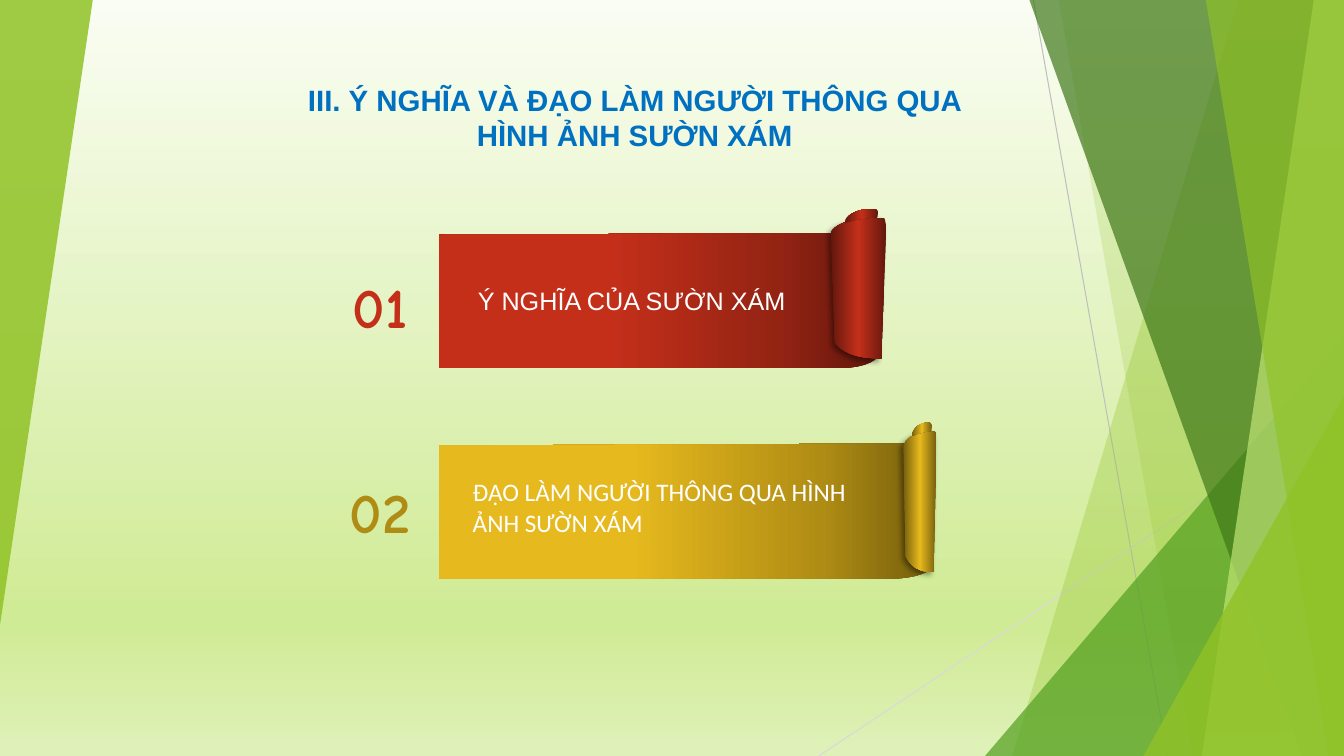
import dataclasses
import typing

import lxml.etree
import pptx
import pptx.dml.color
import pptx.dml.fill
import pptx.enum.shapes
import pptx.enum.text
import pptx.oxml.ns
import pptx.shapes.autoshape
import pptx.shapes.base
import pptx.slide
import pptx.util

EMU_PER_PX = 9144
SLIDE_WIDTH, SLIDE_HEIGHT = 1333, 750

Point = tuple[float, float]
Segment = tuple[Point, ...]
Stops = tuple[tuple[int, str], ...]


@dataclasses.dataclass(frozen=True)
class Theme:
    background: Stops = ((0, "FAFDF3"), (81, "D0EB96"), (83, "D0EB96"), (100, "DFF1B9"))
    lime: str = "90C226"
    pale_lime: str = "C0E474"
    green: str = "54A021"
    dark_green: str = "3F7819"
    vertical_ray: str = "BFBFBF"
    slanted_ray: str = "D9D9D9"
    reds: tuple[str, str, str] = ("62170D", "932313", "C42F1A")
    golds: tuple[str, str, str] = ("755E0D", "AF8C14", "E6B91E")
    title: str = "0070C0"
    label: str = "FFFFFF"
    shadow: str = "000000"
    title_size: float = 21
    number_size: float = 40.5
    label_size: float = 18


THEME = Theme()


class Box(typing.NamedTuple):
    left: int
    top: int
    width: int
    height: int


class Ray(typing.NamedTuple):
    start: Point
    end: Point
    color: str


class Facet(typing.NamedTuple):
    top_x: int
    bottom_x: int
    color: str
    opacity: int


class Corner(typing.NamedTuple):
    box: Box
    color: str
    opacity: int
    rotation: int = 0


@dataclasses.dataclass(frozen=True)
class Banner:
    number: str
    label: str
    font: str
    number_color: str
    shades: tuple[str, str, str]
    ribbon_top: int
    ribbon_width: int
    roll_left: int
    roll_top: int
    roll_width: int
    number_box: Box
    label_box: Box
    anchor: pptx.enum.text.MSO_ANCHOR


RAYS = (
    Ray((1025, 0), (1158, 750), THEME.vertical_ray),
    Ray((1333, 403), (812, 750), THEME.slanted_ray),
)
DECOR: tuple[Facet | Corner, ...] = (
    Facet(1228, 1004, THEME.lime, 30),
    Facet(1050, 1183, THEME.lime, 20),
    Corner(Box(977, 333, 356, 417), THEME.green, 72),
    Facet(1021, 1291, THEME.dark_green, 70),
    Facet(1303, 1192, THEME.pale_lime, 70),
    Facet(1196, 1318, THEME.lime, 65),
    Corner(Box(1134, 393, 199, 357), THEME.lime, 80),
    Corner(Box(0, 0, 92, 620), THEME.lime, 85, 180),
)
MIDDLE, TOP = pptx.enum.text.MSO_ANCHOR.MIDDLE, pptx.enum.text.MSO_ANCHOR.TOP
BANNERS = (
    Banner("01", "Ý NGHĨA CỦA SƯỜN XÁM", "Arial", THEME.reds[2], THEME.reds,
           231, 434, 824, 207, 55, Box(332, 264, 90, 78), Box(464, 278, 332, 40), MIDDLE),
    Banner("02", "ĐẠO LÀM NGƯỜI THÔNG QUA HÌNH ẢNH SƯỜN XÁM", "Calibri", THEME.golds[1], THEME.golds,
           440, 488, 896, 419, 33, Box(332, 468, 90, 78), Box(459, 468, 403, 71), TOP),
)
RIBBON_LEFT, RIBBON_UNIT, ROLL_UNIT = 435, 434, 55
RIBBON: tuple[Segment, ...] = (
    ((0, 2),), ((0, 134),), ((398, 134),),
    ((418, 134), (430, 129), (434, 125)), ((434, 83), (431, 42), (431, 0)),
)
ROLL: tuple[Segment, ...] = (
    ((50, 149),), ((37, 148), (16, 148), (4, 133)), ((0, 23),),
    ((9, 10), (37, 9), (51, 9)), ((55, 9), (53, 14), (55, 17)),
)
ROLL_CAP: tuple[Segment, ...] = (
    ((14, 14),), ((15, 10),), ((22, 1), (37, 0), (42, 0)),
    ((44, 0), (47, 1), (47, 3)), ((46, 9),), ((38, 9), (25, 10), (14, 14)),
)


def emu(px: float) -> pptx.util.Emu:
    return pptx.util.Emu(round(px * EMU_PER_PX))


def rgb(color: str) -> pptx.dml.color.RGBColor:
    return pptx.dml.color.RGBColor.from_string(color)


def add_node(parent: lxml.etree._Element, tag: str, **attributes: str) -> lxml.etree._Element:
    return lxml.etree.SubElement(parent, pptx.oxml.ns.qn(tag), attributes)


def set_gradient(fill: pptx.dml.fill.FillFormat, root: lxml.etree._Element, stops: Stops, angle: int) -> None:
    fill.gradient()
    fill.gradient_angle = angle
    stop_list = root.find(".//" + pptx.oxml.ns.qn("a:gsLst"))
    for old_stop in list(stop_list):
        stop_list.remove(old_stop)
    for position, color in stops:
        stop = add_node(stop_list, "a:gs", pos=str(position * 1000))
        add_node(stop, "a:srgbClr", val=color)


def set_solid(shape: pptx.shapes.autoshape.Shape, color: str, opacity: int) -> None:
    shape.fill.solid()
    shape.fill.fore_color.rgb = rgb(color)
    solid = shape._element.spPr.find(pptx.oxml.ns.qn("a:solidFill"))
    add_node(solid[0], "a:alpha", val=str(opacity * 1000))


def add_roll_shadow(shape: pptx.shapes.autoshape.Shape) -> None:
    effects = shape._element.spPr.find(pptx.oxml.ns.qn("a:effectLst"))
    outer = add_node(effects, "a:outerShdw", blurRad=str(pptx.util.Pt(4)), dist=str(pptx.util.Pt(3)),
                     dir=str(135 * 60000), algn="tr", rotWithShape="0")
    color = add_node(outer, "a:srgbClr", val=THEME.shadow)
    add_node(color, "a:alpha", val="40000")


def bend_curves(shape: pptx.shapes.autoshape.Shape, outline: tuple[Segment, ...]) -> None:
    lines = iter(shape._element.spPr.findall(".//" + pptx.oxml.ns.qn("a:lnTo")))
    for segment in outline[1:]:
        first, *others = [next(lines) for _ in segment]
        if others:
            first.tag = pptx.oxml.ns.qn("a:cubicBezTo")
            for line in others:
                first.append(line[0])
                line.getparent().remove(line)


def add_outline(slide: pptx.slide.Slide, outline: tuple[Segment, ...], left: int = 0, top: int = 0,
                stretch: float = 1) -> pptx.shapes.autoshape.Shape:
    points = [(emu(left + x * stretch), emu(top + y)) for segment in outline for x, y in segment]
    builder = slide.shapes.build_freeform(*points[0], scale=1.0)
    builder.add_line_segments(points[1:], close=True)
    shape = builder.convert_to_shape()
    bend_curves(shape, outline)
    shape.shadow.inherit = False
    shape.line.fill.background()
    return shape


def add_ray(slide: pptx.slide.Slide, ray: Ray) -> None:
    connector = slide.shapes.add_connector(pptx.enum.shapes.MSO_CONNECTOR.STRAIGHT,
                                           *map(emu, (*ray.start, *ray.end)))
    connector.line.color.rgb = rgb(ray.color)
    connector.line.width = pptx.util.Pt(0.75)
    add_node(connector._element.spPr, "a:effectLst")


def add_decor(slide: pptx.slide.Slide, decor: Facet | Corner) -> None:
    if isinstance(decor, Facet):
        corners = ((decor.top_x, 0), (SLIDE_WIDTH, 0), (SLIDE_WIDTH, SLIDE_HEIGHT), (decor.bottom_x, SLIDE_HEIGHT))
        shape = add_outline(slide, tuple((corner,) for corner in corners))
    else:
        shape = slide.shapes.add_shape(pptx.enum.shapes.MSO_SHAPE.ISOSCELES_TRIANGLE, *map(emu, decor.box))
        shape.adjustments[0] = 1
        shape.rotation = decor.rotation
        shape.shadow.inherit = False
        shape.line.fill.background()
    set_solid(shape, decor.color, decor.opacity)


def write_text(shape: pptx.shapes.base.BaseShape, text: str, color: str, font_format: dict[str, typing.Any],
               frame_format: dict[str, typing.Any], centered: bool = True) -> None:
    frame = shape.text_frame
    for name, value in frame_format.items():
        setattr(frame, name, value)
    paragraph = frame.paragraphs[0]
    paragraph.alignment = pptx.enum.text.PP_ALIGN.CENTER if centered else pptx.enum.text.PP_ALIGN.LEFT
    run = paragraph.add_run()
    run.text = text
    for name, value in font_format.items():
        setattr(run.font, name, value)
    run.font.color.rgb = rgb(color)


def add_banner(slide: pptx.slide.Slide, banner: Banner) -> None:
    dark, medium, bright = banner.shades
    ribbon = add_outline(slide, RIBBON, RIBBON_LEFT, banner.ribbon_top, banner.ribbon_width / RIBBON_UNIT)
    set_gradient(ribbon.fill, ribbon._element, ((0, dark), (22, medium), (61, bright)), 180)
    for outline in (ROLL, ROLL_CAP):
        shape = add_outline(slide, outline, banner.roll_left, banner.roll_top, banner.roll_width / ROLL_UNIT)
        set_gradient(shape.fill, shape._element, ((0, dark), (50, bright), (100, dark)), 180)
        if outline is ROLL:
            add_roll_shadow(shape)
    write_text(slide.shapes.add_textbox(*map(emu, banner.number_box)), banner.number, banner.number_color,
               {"size": pptx.util.Pt(THEME.number_size), "name": "Comic Neue", "bold": True},
               {"word_wrap": False, "vertical_anchor": MIDDLE})
    write_text(slide.shapes.add_textbox(*map(emu, banner.label_box)), banner.label, THEME.label,
               {"size": pptx.util.Pt(THEME.label_size), "name": banner.font},
               {"word_wrap": True, "vertical_anchor": banner.anchor}, centered=False)


def add_title(slide: pptx.slide.Slide) -> None:
    title = slide.shapes.title
    title.left, title.top, title.width, title.height = map(emu, Box(267, 76, 725, 81))
    write_text(title, "III. Ý NGHĨA VÀ ĐẠO LÀM NGƯỜI THÔNG QUA HÌNH ẢNH SƯỜN XÁM", THEME.title,
               {"size": pptx.util.Pt(THEME.title_size), "name": "Arial", "bold": True},
               {"word_wrap": True, "vertical_anchor": MIDDLE, "auto_size": pptx.enum.text.MSO_AUTO_SIZE.NONE})


def main() -> None:
    presentation = pptx.Presentation()
    presentation.slide_width, presentation.slide_height = emu(SLIDE_WIDTH), emu(SLIDE_HEIGHT)
    slide = presentation.slides.add_slide(presentation.slide_layouts.get_by_name("Title Only"))
    set_gradient(slide.background.fill, slide._element, THEME.background, 270)
    for ray in RAYS:
        add_ray(slide, ray)
    for decor in DECOR:
        add_decor(slide, decor)
    add_title(slide)
    for banner in BANNERS:
        add_banner(slide, banner)
    presentation.save("out.pptx")


if __name__ == "__main__":
    main()
